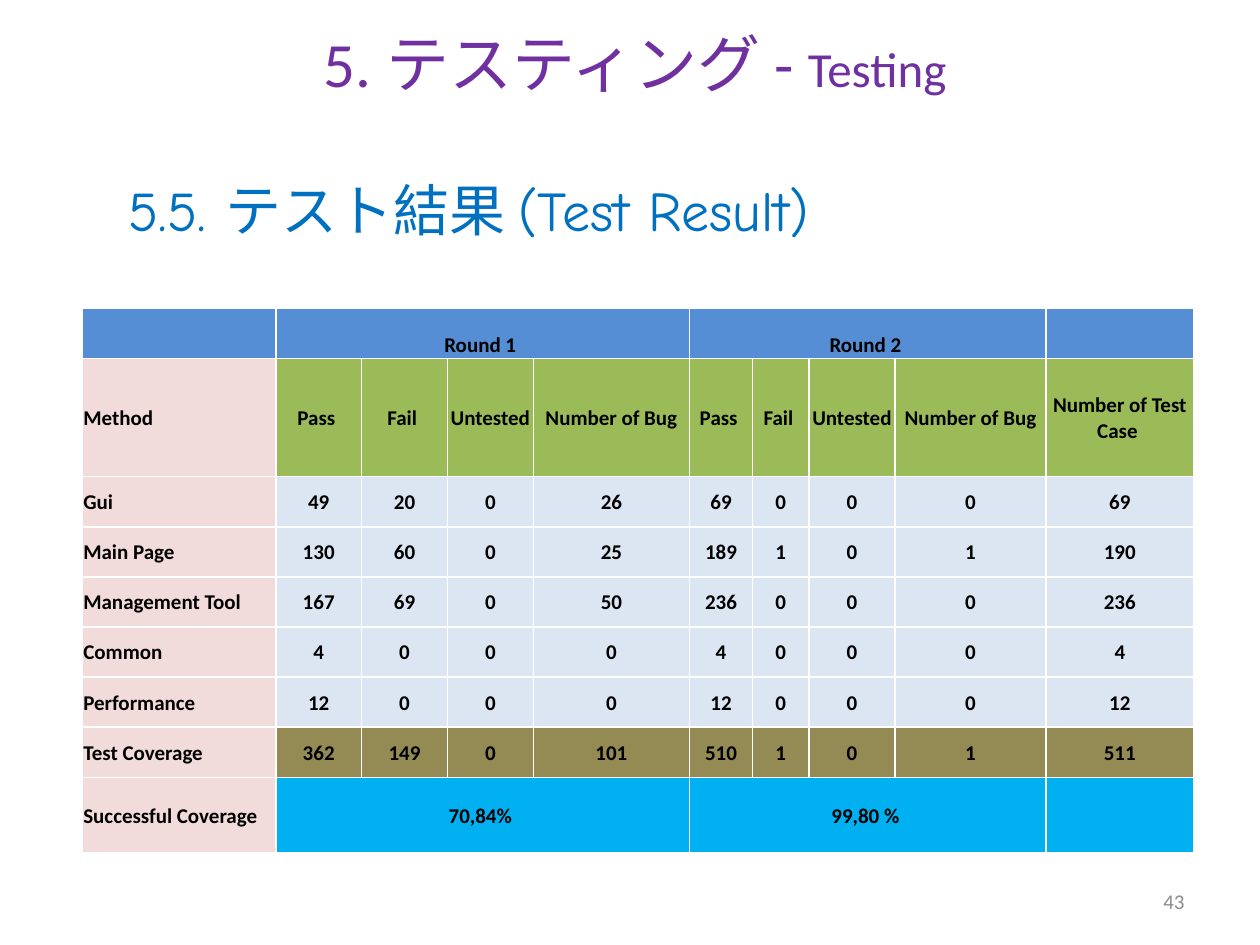
from lxml.etree import SubElement
from pptx import Presentation
from pptx.dml.color import RGBColor
from pptx.enum.text import MSO_ANCHOR, PP_ALIGN
from pptx.oxml.ns import qn
from pptx.util import Cm, Pt

BLACK, WHITE, PURPLE, BLUE, GRAY = "000000", "FFFFFF", "7030A0", "0070C0", "8C8C8C"
ROUND, METHOD, HEADING = "558ED5", "F2DCDB", "9BBB59"
RESULT, TOTAL, SUCCESS = "DCE6F2", "948A54", "00B0F0"

COLUMN_WIDTHS = [3.91, 1.73, 1.73, 1.73, 3.15, 1.27, 1.14, 1.73, 3.05, 2.97]
ROW_HEIGHTS = [1.01, 2.38] + [1.01] * 6 + [1.53]
ROUND_HEADINGS = ["Pass ", "Fail ", "Untested ", "Number of Bug"]
ROUND_STARTS = [1, 5]
RESULTS = [
    ["Gui", 49, 20, 0, 26, 69, 0, 0, 0, 69],
    ["Main Page", 130, 60, 0, 25, 189, 1, 0, 1, 190],
    ["Management Tool", 167, 69, 0, 50, 236, 0, 0, 0, 236],
    ["Common", 4, 0, 0, 0, 4, 0, 0, 0, 4],
    ["Performance", 12, 0, 0, 0, 12, 0, 0, 0, 12],
    ["Test Coverage", 362, 149, 0, 101, 510, 1, 0, 1, 511],
]


def color(code):
    """Turn a hex string into a colour."""
    return RGBColor.from_string(code)


def add_run(paragraph, text, size, code, font="Calibri", bold=False):
    """Append a formatted run and return it."""
    run = paragraph.add_run()
    run.text = text
    run.font.name = font
    run.font.size = Pt(size)
    run.font.bold = bold
    run.font.color.rgb = color(code)
    return run


def add_line(parent, tag, code):
    """Add a one-point solid line element to the parent's properties."""
    line = SubElement(parent, qn(tag), w=str(Pt(1)))
    fill = SubElement(line, qn("a:solidFill"))
    SubElement(fill, qn("a:srgbClr"), val=code)
    return line


def outline(run, code):
    """Draw a thin outline around the letters of a run."""
    properties = run.font._element
    properties.insert(0, add_line(properties, "a:ln", code))


def add_text(slide, left, top, width, height, align=PP_ALIGN.LEFT, anchor=MSO_ANCHOR.TOP):
    """Add a wrapping text box and return its first paragraph."""
    frame = slide.shapes.add_textbox(Cm(left), Cm(top), Cm(width), Cm(height)).text_frame
    frame.word_wrap = True
    frame.vertical_anchor = anchor
    paragraph = frame.paragraphs[0]
    paragraph.alignment = align
    return paragraph


def style_cell(cell, text, code, align, anchor):
    """Set the borders, fill, margins and text of a table cell."""
    properties = cell._tc.get_or_add_tcPr()
    for side in ("a:lnL", "a:lnR", "a:lnT", "a:lnB"):
        add_line(properties, side, WHITE)
    cell.fill.solid()
    cell.fill.fore_color.rgb = color(code)
    cell.margin_left = cell.margin_right = cell.margin_top = Cm(0.03)
    cell.margin_bottom = 0
    cell.vertical_anchor = anchor
    paragraph = cell.text_frame.paragraphs[0]
    paragraph.alignment = align
    if text:
        add_run(paragraph, text, 12, BLACK, bold=True)


def spanning_row(label, first, second):
    """Place one text at the start of each round."""
    return [label, first, "", "", "", second, "", "", "", ""]


def add_results_table(slide):
    """Build the test result table."""
    rows = [
        spanning_row("", "Round 1 ", "Round 2 "),
        ["Method", *ROUND_HEADINGS * 2, "Number of Test Case "],
        *RESULTS,
        spanning_row("Successful Coverage", "70,84% ", "99,80 % "),
    ]
    row_fills = [ROUND, HEADING] + [RESULT] * 5 + [TOTAL, SUCCESS]
    table = slide.shapes.add_table(
        len(rows), len(COLUMN_WIDTHS), Cm(1.65), Cm(6.22),
        Cm(sum(COLUMN_WIDTHS)), Cm(sum(ROW_HEIGHTS))).table
    table.first_row = table.horz_banding = False
    for column, width in zip(table.columns, COLUMN_WIDTHS):
        column.width = Cm(width)
    for row, height in zip(table.rows, ROW_HEIGHTS):
        row.height = Cm(height)
    for r, (values, row_fill) in enumerate(zip(rows, row_fills)):
        anchor = MSO_ANCHOR.BOTTOM if r == 0 else MSO_ANCHOR.MIDDLE
        for c, value in enumerate(values):
            fill = METHOD if c == 0 and r > 0 else row_fill
            align = PP_ALIGN.LEFT if c == 0 else PP_ALIGN.CENTER
            style_cell(table.cell(r, c), str(value), fill, align, anchor)
    for r in (0, len(rows) - 1):
        for start in ROUND_STARTS:
            table.cell(r, start).merge(table.cell(r, start + len(ROUND_HEADINGS) - 1))


def main():
    """Build and save the slide."""
    deck = Presentation()
    deck.slide_width, deck.slide_height = Cm(25.4), Cm(19.05)
    slide = deck.slides.add_slide(deck.slide_layouts[6])

    add_results_table(slide)

    section = add_text(slide, 2.34, 2.74, 21.16, 2.13)
    section.line_spacing = 1.5
    add_run(section, "5.5. テスト結果 (Test Result)", 32, BLUE, "Comic Neue")

    title = add_text(slide, 3.56, 0.36, 18.49, 1.8, PP_ALIGN.CENTER)
    for text, size in (("5. テスティング - ", 36), ("Testing", 28)):
        outline(add_run(title, text, size, PURPLE), PURPLE)

    page = add_text(slide, 18.21, 17.65, 5.92, 1.02, PP_ALIGN.RIGHT, MSO_ANCHOR.MIDDLE)
    add_run(page, "43", 12, GRAY)

    deck.save("out.pptx")


if __name__ == "__main__":
    main()
